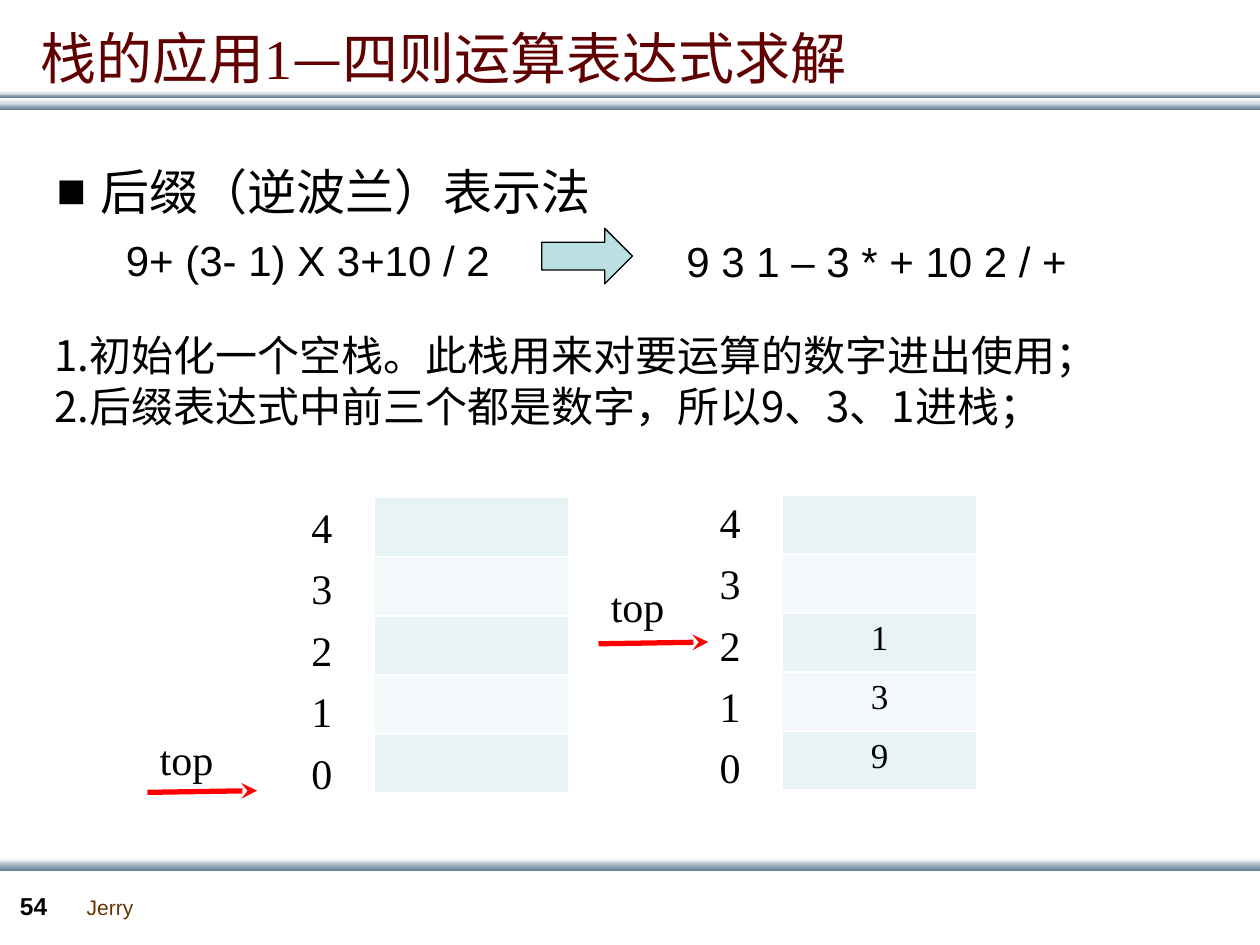
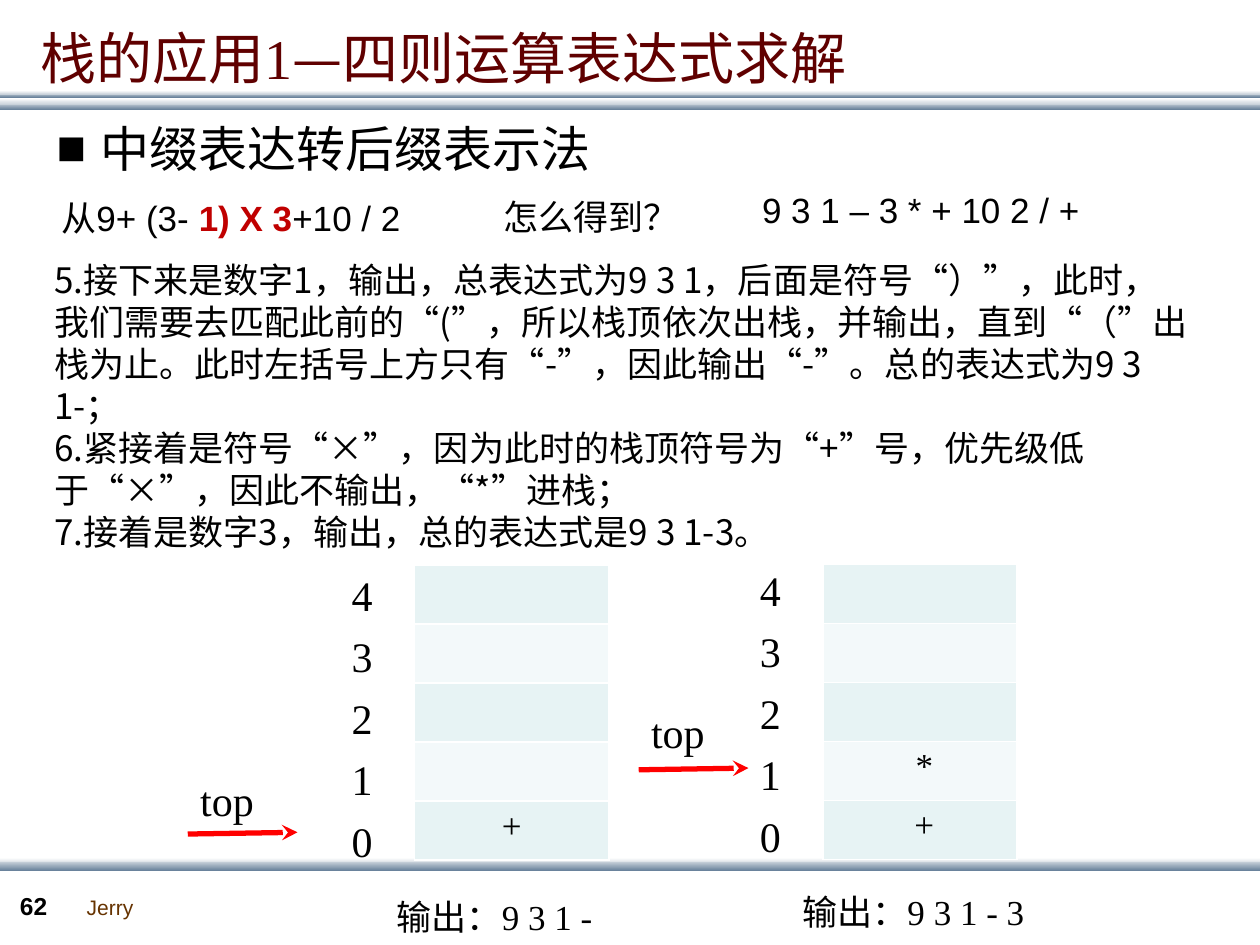
"""Build two slides on evaluating arithmetic expressions with a stack."""
from dataclasses import dataclass
from typing import NamedTuple

from lxml import etree
from pptx import Presentation
from pptx.dml.color import RGBColor
from pptx.enum.shapes import MSO_CONNECTOR, MSO_SHAPE
from pptx.enum.text import MSO_ANCHOR, MSO_AUTO_SIZE, PP_ALIGN
from pptx.oxml.ns import qn
from pptx.util import Pt

RECT = MSO_SHAPE.RECTANGLE
ARROW = MSO_SHAPE.RIGHT_ARROW
LINE = MSO_CONNECTOR.STRAIGHT
GROW = MSO_AUTO_SIZE.SHAPE_TO_FIT_TEXT
FIXED = MSO_AUTO_SIZE.NONE
MIDDLE = MSO_ANCHOR.MIDDLE
TOP = MSO_ANCHOR.TOP
LEFT = PP_ALIGN.LEFT
CENTER = PP_ALIGN.CENTER

SANS, HAN, SERIF = "Arial", "Noto Sans CJK SC", "Times New Roman"
BLACK, WHITE, RED, CRIMSON = "000000", "FFFFFF", "FF0000", "C00000"
MAROON, BROWN, PALE = "600000", "663300", "BBE0E3"
MIST, STEEL = "C8D1DA", "6A839C"
STRIPES = ("E7F3F4", "F3F9FA")
ROWS, ROW, STEP, WIDE = 5, 33.75, 35.1, 111


class Run(NamedTuple):
    """A stretch of text in one format."""
    text: str
    size: float
    font: str
    color: str = BLACK
    bold: bool = False


class Band(NamedTuple):
    """A shaded strip across the slide."""
    top: float
    height: float
    start: str
    end: str


@dataclass
class Label:
    """A text box holding paragraphs of runs."""
    left: float
    top: float
    width: float
    height: float
    lines: list[list[Run]]
    wrap: bool = True


@dataclass
class Stack:
    """A stack table with its indexes and top marker."""
    left: float
    top: float
    index: float
    mark: tuple[float, float]
    drop: float
    cells: dict[int, str]


@dataclass
class Page:
    """Everything that differs between the slides."""
    number: str
    head: str
    head_top: float
    labels: list[Label]
    stacks: list[Stack]


BANDS = [
    Band(59, 3.6, MIST, STEEL),
    Band(53.3, 2.4, MIST, STEEL),
    Band(56.2, 3.6, WHITE, MIST),
    Band(51.8, 2.2, WHITE, MIST),
    Band(490.3, 3.6, WHITE, MIST),
    Band(492.5, 5, MIST, STEEL),
]
TITLE = [Run("栈的应用", 32, HAN, MAROON), Run("1", 32, SERIF, MAROON),
         Run("—四则运算表达式求解", 32, HAN, MAROON)]


def paint(hue: str) -> RGBColor:
    """Turn a hex string into a colour."""
    return RGBColor.from_string(hue)


def place(shape, left: float, top: float, width: float, height: float) -> None:
    """Move and size a shape in points."""
    box = {"left": left, "top": top, "width": width, "height": height}
    for key, size in box.items():
        setattr(shape, key, Pt(size))


def write(para, runs: list[Run]) -> None:
    """Add formatted runs to a paragraph."""
    for item in runs:
        run = para.add_run()
        run.text = item.text
        form = {"size": Pt(item.size), "name": item.font, "bold": item.bold}
        for key, value in form.items():
            setattr(run.font, key, value)
        run.font.color.rgb = paint(item.color)
        east = HAN if item.font == SERIF else item.font
        etree.SubElement(run.font._element, qn("a:ea"), typeface=east)


def draw_label(slide, label: Label) -> None:
    """Draw a text box."""
    box = slide.shapes.add_textbox(Pt(label.left), Pt(label.top),
                                   Pt(label.width), Pt(label.height))
    frame = box.text_frame
    form = {"word_wrap": label.wrap, "auto_size": GROW}
    for key, value in form.items():
        setattr(frame, key, value)
    for i, runs in enumerate(label.lines):
        write(frame.add_paragraph() if i else frame.paragraphs[0], runs)


def draw_band(slide, band: Band) -> None:
    """Draw a strip that shades from top to bottom."""
    strip = slide.shapes.add_shape(RECT, 0, Pt(band.top), Pt(720.5), Pt(band.height))
    strip.shadow.inherit = False
    strip.line.fill.background()
    strip.fill.gradient()
    strip.fill.gradient_angle = 270
    for stop, hue, spot in zip(strip.fill.gradient_stops, (band.start, band.end), (0, 1)):
        stop.color.rgb = paint(hue)
        stop.position = spot


def draw_title(slide) -> None:
    """Fill the title placeholder."""
    title = slide.shapes.title
    place(title, 15.84, 13, 691, 39.6)
    form = {"vertical_anchor": MIDDLE, "auto_size": FIXED, "word_wrap": True}
    for key, value in form.items():
        setattr(title.text_frame, key, value)
    para = title.text_frame.paragraphs[0]
    para.alignment = LEFT
    write(para, TITLE)


def draw_head(slide, text: str, top: float) -> None:
    """Fill the body placeholder with one square bullet."""
    body = slide.placeholders[1]
    place(body, 15.84, top, 648, 44.6)
    form = {"vertical_anchor": TOP, "auto_size": FIXED, "word_wrap": True}
    for key, value in form.items():
        setattr(body.text_frame, key, value)
    para = body.text_frame.paragraphs[0]
    write(para, [Run(text, 28, HAN)])
    props = para._p.get_or_add_pPr()
    props.set("marL", str(Pt(34.5)))
    props.set("indent", str(-Pt(25.2)))
    etree.SubElement(props, qn("a:buFont"), typeface=SANS)
    etree.SubElement(props, qn("a:buChar"), char="■")


def draw_line(slide, left: float, top: float) -> None:
    """Draw the red arrow that points at the top index."""
    line = slide.shapes.add_connector(LINE, Pt(left), Pt(top), Pt(left + 62.7), Pt(top - 1))
    line.line.color.rgb = paint(RED)
    line.line.width = Pt(3)
    etree.SubElement(line.line._get_or_add_ln(), qn("a:tailEnd"), type="stealth")
    etree.SubElement(line._element.spPr, qn("a:effectLst"))


def edge_cell(cell) -> None:
    """Give a cell thin white borders."""
    props = cell._tc.get_or_add_tcPr()
    for side in ("lnL", "lnR", "lnT", "lnB"):
        edge = etree.SubElement(props, qn(f"a:{side}"), w=str(Pt(1)))
        fill = etree.SubElement(edge, qn("a:solidFill"))
        etree.SubElement(fill, qn("a:srgbClr"), val=WHITE)


def draw_stack(slide, stack: Stack) -> None:
    """Draw the marker, the indexes and the cells of a stack."""
    left, top = stack.mark
    draw_line(slide, left, top + stack.drop)
    draw_label(slide, Label(left, top, 48.2, 36.7, [[Run("top", 24, SERIF)]]))
    frame = slide.shapes.add_table(ROWS, 1, Pt(stack.left), Pt(stack.top),
                                   Pt(WIDE), Pt(ROWS * ROW))
    table = frame.table
    for key in ("first_row", "horz_banding"):
        setattr(table, key, False)
    for i in range(ROWS):
        slot = ROWS - 1 - i
        draw_label(slide, Label(stack.left - 43, stack.index + i * STEP, 33, 36.7,
                                [[Run(str(slot), 24, SERIF)]]))
        table.rows[i].height = Pt(ROW)
        cell = table.cell(i, 0)
        edge_cell(cell)
        cell.fill.solid()
        cell.fill.fore_color.rgb = paint(STRIPES[i % 2])
        if slot in stack.cells:
            para = cell.text_frame.paragraphs[0]
            para.alignment = CENTER
            write(para, [Run(stack.cells[slot], 20, SERIF)])


def draw_arrow(slide) -> None:
    """Draw the block arrow between the two notations."""
    arrow = slide.shapes.add_shape(ARROW, Pt(309.6), Pt(130.5), Pt(51.8), Pt(31.7))
    arrow.shadow.inherit = False
    arrow.fill.solid()
    arrow.fill.fore_color.rgb = paint(PALE)
    arrow.line.color.rgb = paint(BLACK)
    arrow.line.width = Pt(0.75)


def draw_page(deck, page: Page):
    """Add a slide with the shared frame and its own parts."""
    slide = deck.slides.add_slide(deck.slide_layouts[1])
    draw_title(slide)
    draw_head(slide, page.head, page.head_top)
    for band in BANDS:
        draw_band(slide, band)
    foot = [Label(42.5, 507.6, 41, 21.6, [[Run("Jerry", 12, SANS, BROWN)]], False),
            Label(4.3, 505.4, 39.6, 23.8, [[Run(page.number, 14, SANS, BLACK, True)]])]
    for label in foot + page.labels:
        draw_label(slide, label)
    for stack in page.stacks:
        draw_stack(slide, stack)
    return slide


SOLVE = Page("54", "后缀（逆波兰）表示法", 88.6, [
    Label(64.8, 130.3, 224.6, 36.7, [[Run("9+ (3- 1) X 3+10 / 2", 24, SANS)]], False),
    Label(385.2, 131, 299.5, 36.7, [[Run("9 3 1 – 3 * + 10 2 / +", 24, SANS)]]),
    Label(23.8, 185, 663, 65.5, [
        [Run("1.初始化一个空栈。此栈用来对要运算的数字进出使用；", 24, HAN)],
        [Run("2.后缀表达式中前三个都是数字，所以9、3、1进栈；", 24, HAN)]]),
], [
    Stack(213.9, 284.4, 283, (84.2, 415.4), 37.4, {}),
    Stack(447.2, 282.8, 280, (342, 328.3), 39.6, {2: "1", 1: "3", 0: "9"}),
])

CONVERT = Page("62", "中缀表达转后缀表示法", 64, [
    Label(23.8, 144, 663, 177, [
        [Run("5.接下来是数字1，输出，总表达式为9 3 1，后面是符号“）”，此时，我们需要去匹配此前的“(”，"
             "所以栈顶依次出栈，并输出，直到“（”出栈为止。此时左括号上方只有“-”，因此输出“-”。"
             "总的表达式为9 3 1-；", 20, HAN)],
        [Run("6.紧接着是符号“×”，因为此时的栈顶符号为“+”号，优先级低于“×”，因此不输出，“*”进栈；",
             20, HAN)],
        [Run("7.接着是数字3，输出，总的表达式是9 3 1-3。", 20, HAN)]]),
    Label(219.6, 508.3, 144.7, 31.7, [[Run("输出：9 3 1 -", 20, SERIF)]]),
    Label(451.4, 505.4, 167.8, 31.7, [[Run("输出：9 3 1 - 3", 20, SERIF)]]),
    Label(428.4, 104.4, 299.5, 31.7, [[Run("9 3 1 – 3 * + 10 2 / +", 20, SANS)]]),
    Label(28, 108.7, 221, 31.7, [[
        Run("从", 20, HAN), Run("9+ (3- ", 20, SANS),
        Run("1) X 3", 20, SANS, CRIMSON, True), Run("+10 / 2", 20, SANS)]]),
    Label(280.8, 108, 115.2, 31.7, [[Run("怎么得到？", 20, HAN)]], False),
], [
    Stack(236.9, 322.8, 321.8, (107.3, 439.2), 37.4, {0: "+"}),
    Stack(470.2, 322.4, 319, (365, 400.3), 39.6, {1: " *", 0: " +"}),
])


def main() -> None:
    """Build and save the deck."""
    deck = Presentation()
    deck.slide_width, deck.slide_height = Pt(720), Pt(540)
    draw_arrow(draw_page(deck, SOLVE))
    draw_page(deck, CONVERT)
    deck.save("out.pptx")


if __name__ == "__main__":
    main()
